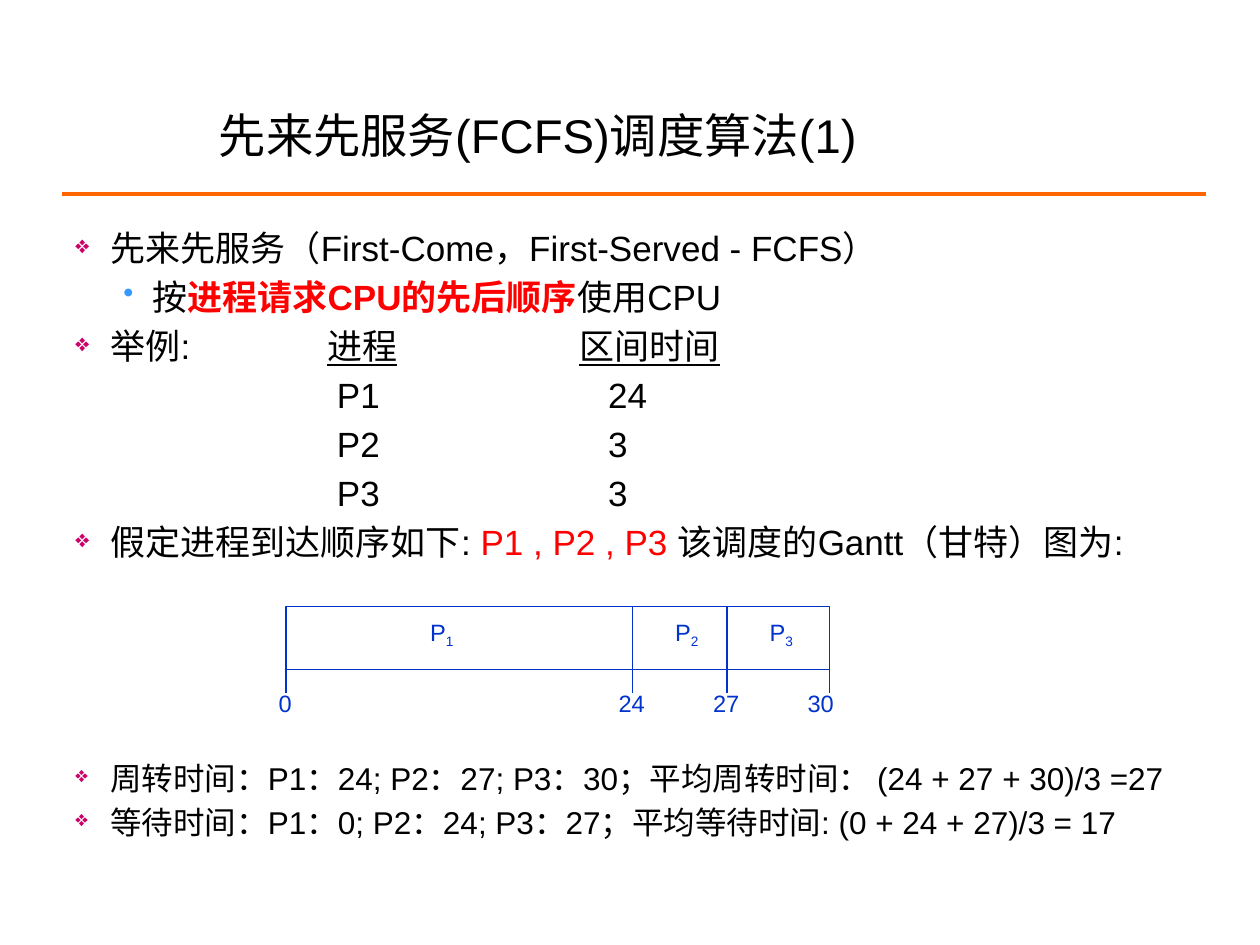
from pptx import Presentation
from pptx.dml.color import RGBColor
from pptx.enum.shapes import MSO_CONNECTOR as CONN, MSO_SHAPE as SHAPE
from pptx.enum.text import MSO_ANCHOR as ANCHOR, PP_ALIGN as ALIGN
from pptx.oxml.ns import qn
from pptx.util import Pt
from lxml.etree import SubElement

BLACK, RED, BLUE, ORANGE = "000000", "FF0000", "0033CC", "FF6600"
DIAMOND = ("❖", "CC0066", 70, 20, -20)
DOT = ("•", "3399FF", 85, 44, -16.5)


def rgb(color):
    return RGBColor.from_string(color)


def add_box(slide, x, y, w, h, anchor=ANCHOR.TOP, wrap=True):
    tf = slide.shapes.add_textbox(Pt(x), Pt(y), Pt(w), Pt(h)).text_frame
    tf.word_wrap = wrap
    tf.vertical_anchor = anchor
    return tf


def add_run(p, text, size, color=BLACK, bold=False, underline=False):
    r = p.add_run()
    r.text = text
    f = r.font
    f.name, f.size, f.bold, f.underline = "Arial", Pt(size), bold, underline
    f.color.rgb = rgb(color)
    return r


def set_bullet(p, char, color, percent, margin, indent):
    pPr = p._p.get_or_add_pPr()
    pPr.set("marL", str(Pt(margin)))
    pPr.set("indent", str(Pt(indent)))
    clr = SubElement(pPr, qn("a:buClr"))
    SubElement(clr, qn("a:srgbClr"), val=color)
    SubElement(pPr, qn("a:buSzPct"), val=str(percent * 1000))
    SubElement(pPr, qn("a:buChar"), char=char)


def set_tabs(p, stops):
    tabs = SubElement(p._p.get_or_add_pPr(), qn("a:tabLst"))
    for stop in stops:
        SubElement(tabs, qn("a:tab"), pos=str(Pt(stop)), algn="l")


def fill_text(tf, size, paragraphs):
    for i, (bullet, stops, runs) in enumerate(paragraphs):
        p = tf.add_paragraph() if i else tf.paragraphs[0]
        if bullet:
            set_bullet(p, *bullet)
        if stops:
            set_tabs(p, stops)
        if i:
            p.space_before = Pt(size * 0.2)
        for text, style in runs:
            add_run(p, text, size, **style)


def add_line(slide, x1, y1, x2, y2, color=BLUE, width=0.75):
    sp = slide.shapes.add_connector(CONN.STRAIGHT, Pt(x1), Pt(y1), Pt(x2), Pt(y2))
    sp.line.color.rgb = rgb(color)
    sp.line.width = Pt(width)
    SubElement(sp._element.spPr, qn("a:effectLst"))


def add_label(slide, center, y, text, sub=""):
    tf = add_box(slide, center - 15, y, 30, 24, ANCHOR.MIDDLE, wrap=False)
    p = tf.paragraphs[0]
    p.alignment = ALIGN.CENTER
    add_run(p, text, 13.5, BLUE)
    if sub:
        r = add_run(p, sub, 13.5, BLUE)
        r._r.get_or_add_rPr().set("baseline", "-25000")


def add_gantt(slide):
    top, bottom, tick = 346.5, 382.5, 396
    edges = [163.5, 361.5, 415.5, 474]
    sp = slide.shapes.add_shape(SHAPE.RECTANGLE, Pt(edges[0]), Pt(top),
                                Pt(edges[-1] - edges[0]), Pt(bottom - top))
    sp.shadow.inherit = False
    sp.fill.solid()
    sp.fill.fore_color.rgb = rgb("FFFFFF")
    sp.line.color.rgb = rgb(BLUE)
    sp.line.width = Pt(0.75)
    for x in edges[1:-1]:
        add_line(slide, x, top, x, bottom)
    for x in edges:
        add_line(slide, x, bottom, x, tick)
    for sub, center in zip("123", (252.5, 392.5, 446.5)):
        add_label(slide, center, 350, "P", sub)
    for time, center in zip((0, 24, 27, 30), (163, 361, 415, 469)):
        add_label(slide, center, 390, str(time))


def add_title(slide):
    tf = add_box(slide, 118, 54, 523, 46, ANCHOR.MIDDLE)
    add_run(tf.paragraphs[0], "先来先服务(FCFS)调度算法(1)", 27)
    add_line(slide, 35.5, 111, 689, 111, ORANGE, 2.25)


def add_body(slide):
    header = [("举例:\t", {}), ("进程", {"underline": True}), ("\t", {}),
              ("区间时间", {"underline": True})]
    bursts = [("P1", 24), ("P2", 3), ("P3", 3)]
    fill_text(add_box(slide, 36, 126, 648, 203), 20, [
        (DIAMOND, None, [("先来先服务（First-Come，First-Served - FCFS）", {})]),
        (DOT, None, [("按", {}),
                     ("进程请求CPU的先后顺序", {"color": RED, "bold": True}),
                     ("使用CPU", {})]),
        (DIAMOND, (144, 288), header),
        *[(None, (149.5, 304.5), [(f"\t{name}\t{burst}", {})])
          for name, burst in bursts],
        (DIAMOND, None, [("假定进程到达顺序如下: ", {}),
                         ("P1 , P2 , P3 ", {"color": RED}),
                         ("该调度的Gantt（甘特）图为:", {})]),
    ])
    fill_text(add_box(slide, 36, 430, 648, 101), 18, [
        (DIAMOND, None, [("周转时间：P1：24; P2：27; P3：30；"
                          "平均周转时间： (24 + 27 + 30)/3 =27", {})]),
        (DIAMOND, None, [("等待时间：P1：0; P2：24; P3：27；"
                          "平均等待时间: (0 + 24 + 27)/3 = 17", {})]),
    ])


def main():
    prs = Presentation()
    prs.slide_width, prs.slide_height = Pt(720), Pt(540)
    slide = prs.slides.add_slide(prs.slide_layouts[6])
    add_title(slide)
    add_body(slide)
    add_gantt(slide)
    prs.save("out.pptx")


if __name__ == "__main__":
    main()
